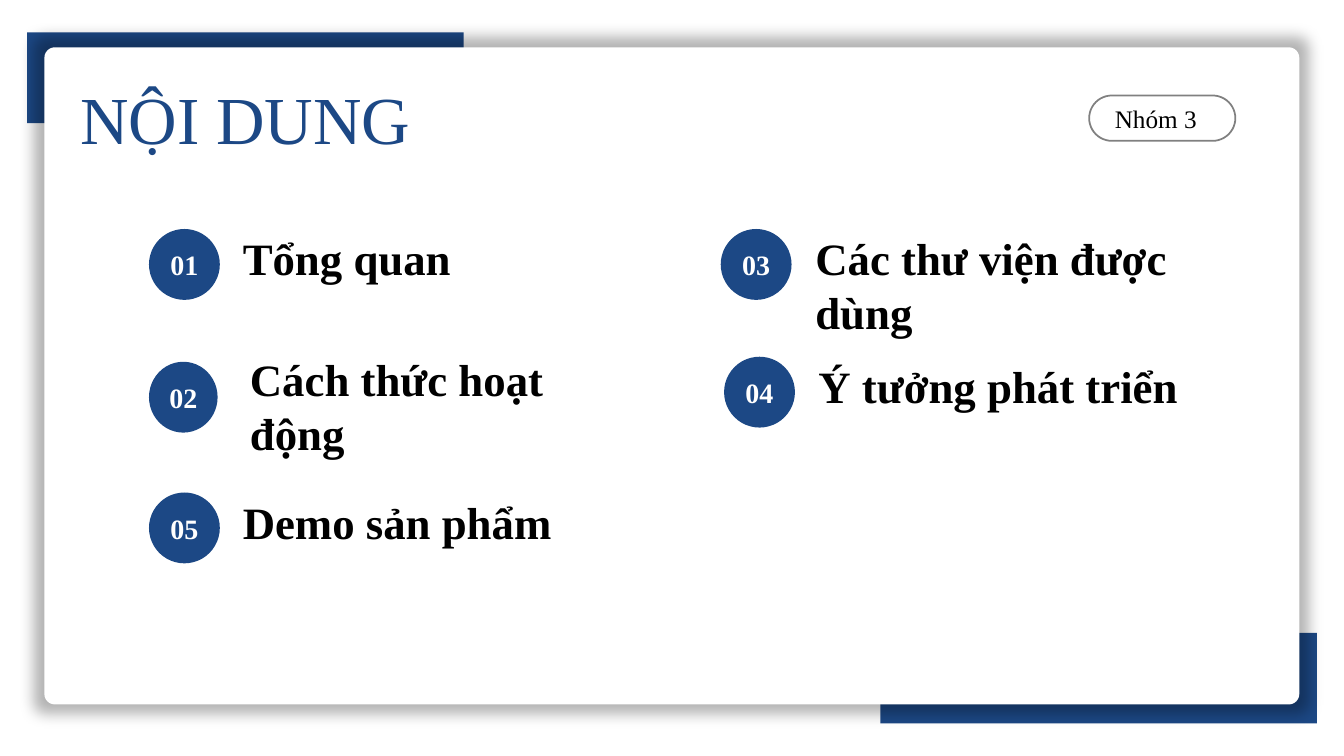
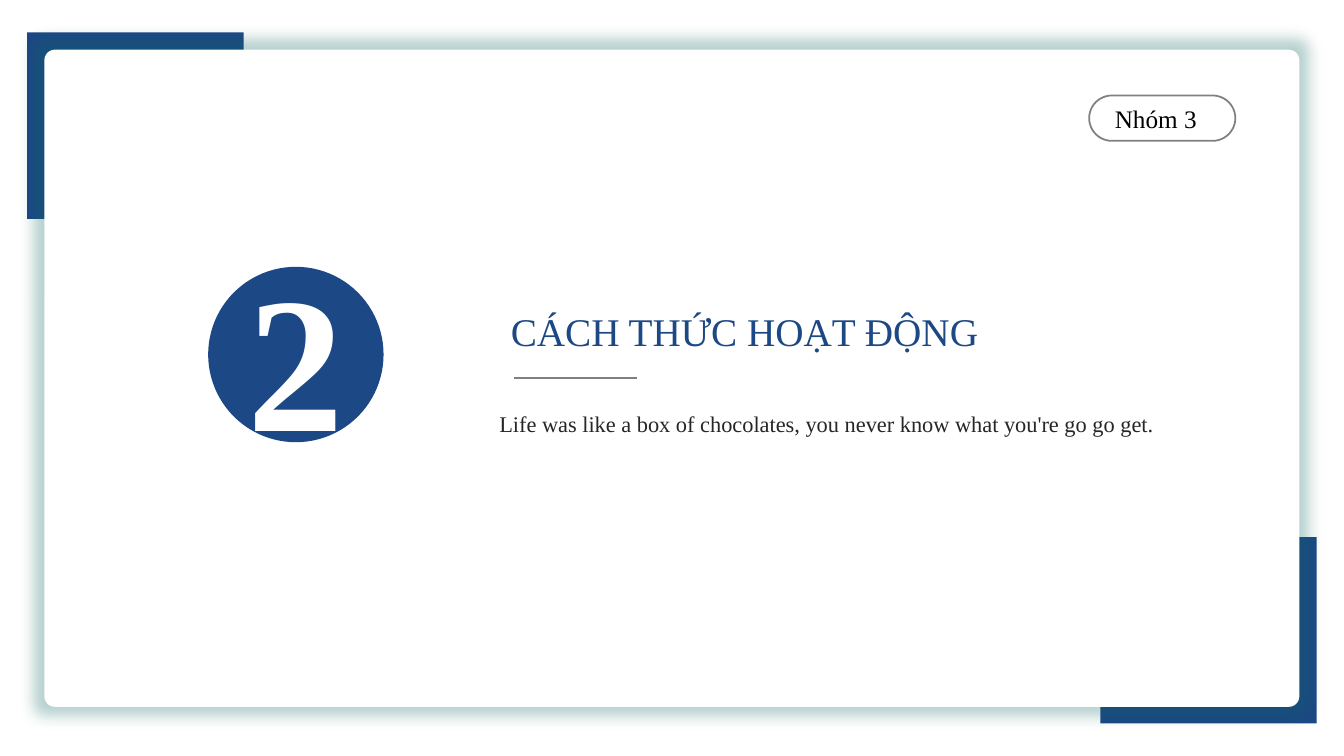
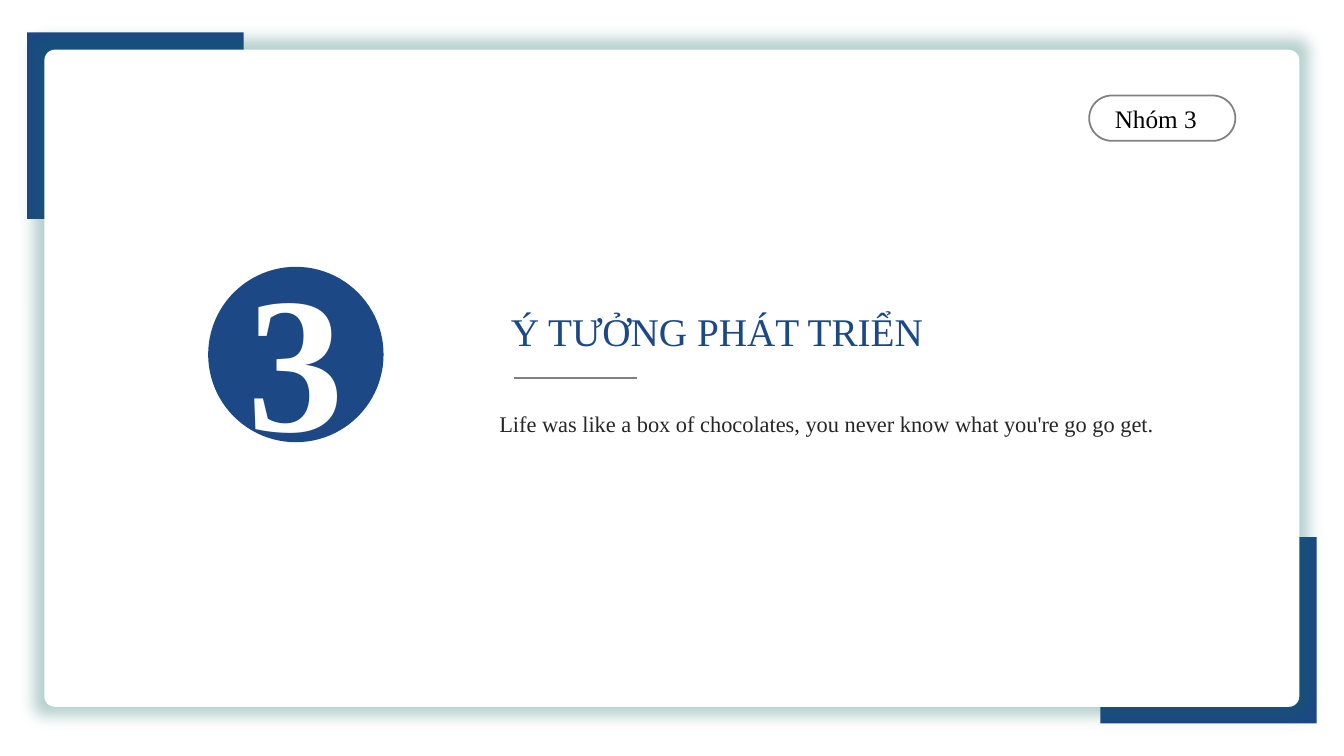
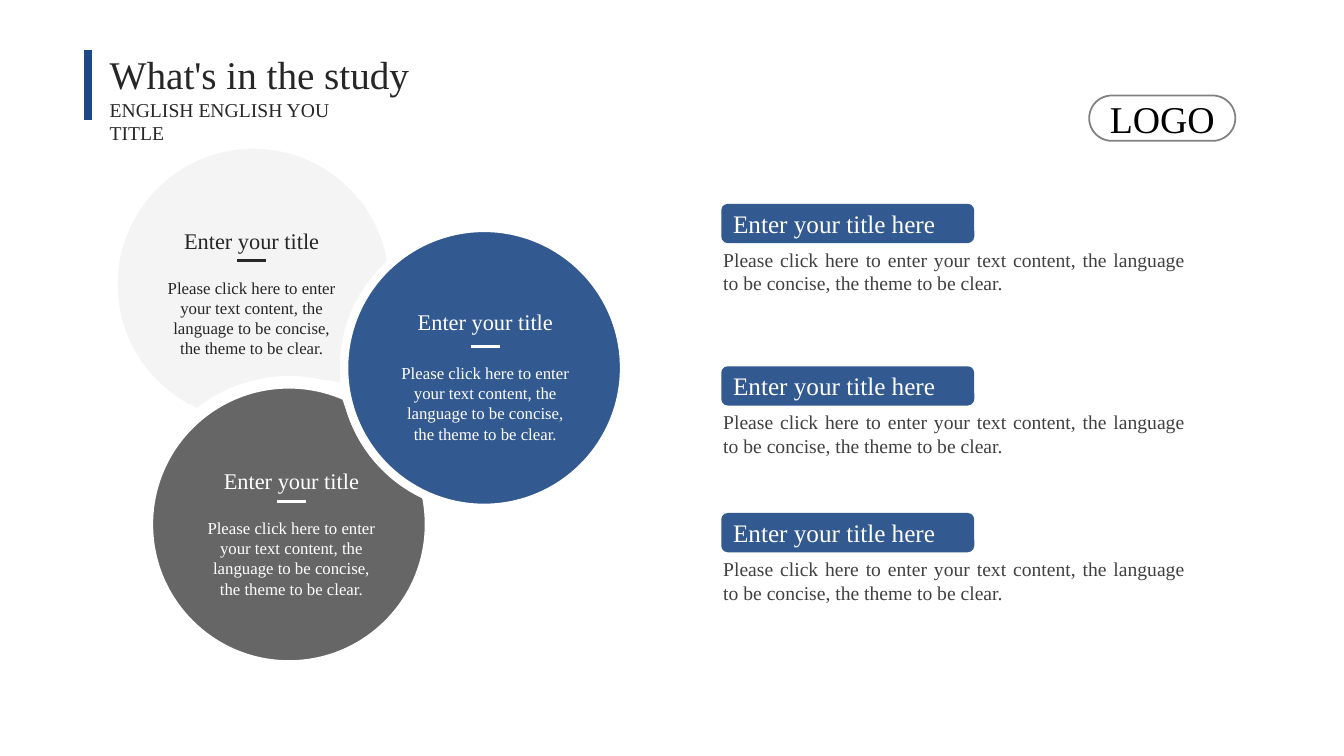
from dataclasses import dataclass
from math import cos, radians, sin, tan

from lxml.etree import SubElement
from pptx import Presentation
from pptx.dml.color import RGBColor
from pptx.enum.shapes import MSO_CONNECTOR, MSO_SHAPE
from pptx.enum.text import MSO_ANCHOR, MSO_AUTO_SIZE, PP_ALIGN
from pptx.oxml.ns import qn
from pptx.util import Pt

FONT = "Times New Roman"
BLUE, WHITE, BLACK = "1C4885", "FFFFFF", "000000"
INK, DARK, PALE, GREY = "262626", "404040", "F2F2F2", "808080"
LEFT, MID, JUST = PP_ALIGN.LEFT, PP_ALIGN.CENTER, PP_ALIGN.JUSTIFY
RECT, ROUND, OVAL = MSO_SHAPE.RECTANGLE, MSO_SHAPE.ROUNDED_RECTANGLE, MSO_SHAPE.OVAL
WIDTH, HEIGHT = 960, 540
RADIUS = 100
BODY = "Please click here to enter your text content, the language to be concise, the theme to be clear."
QUOTE = "Life was like a box of chocolates, you never know what you're go go get."


@dataclass(frozen=True)
class Box:
    x: float
    y: float
    w: float
    h: float


@dataclass(frozen=True)
class Style:
    size: float
    color: str = INK
    align: PP_ALIGN = LEFT
    bold: bool = False


@dataclass(frozen=True)
class Item:
    num: str
    text: str
    badge: Box
    label: Box


@dataclass(frozen=True)
class Disc:
    x: float
    y: float
    fill: str
    ink: str
    mid: float
    title: float
    rule: float
    body: float


@dataclass(frozen=True)
class Arc:
    disc: Disc
    turns: tuple[int, ...]
    radius: float = RADIUS

    def point(self, turn: float, reach: float = 0) -> tuple[int, int]:
        c, s = cos(radians(turn)), sin(radians(turn))
        x = self.disc.x + self.radius * (c - reach * s)
        y = self.disc.y + self.radius * (s + reach * c)
        return Pt(x), Pt(y)


ITEMS = [
    Item("03", "Các thư viện được dùng", Box(514.8, 163.6, 50.6, 50.6), Box(575.3, 161.3, 291.6, 85)),
    Item("02", "Cách thức hoạt động", Box(106.4, 258.4, 49, 50.6), Box(171.4, 247.7, 282.2, 85)),
    Item("04", "Ý tưởng phát triển", Box(517.2, 254.8, 50.6, 50.6), Box(577.5, 252.7, 291.6, 46)),
    Item("05", "Demo sản phẩm", Box(106.4, 351.8, 50.6, 50.6), Box(166.3, 349.9, 291.6, 46)),
    Item("01", "Tổng quan", Box(106.4, 163.6, 50.6, 50.6), Box(166.3, 161.3, 291.6, 46)),
]

LIGHT = Disc(181, 203.2, PALE, INK, 179.8, 158.4, 186.2, 194.8)
SLATE = Disc(206.4, 374.6, DARK, WHITE, 208.2, 329.8, 358, 366.3)
FRONT = Disc(345.8, 262.8, BLUE, WHITE, 346.7, 216.7, 247.3, 255.6)


def tint(code: str) -> RGBColor:
    return RGBColor.from_string(code)


def write(shape, text: str, style: Style) -> None:
    para = shape.text_frame.paragraphs[0]
    para.text = text
    para.alignment = style.align
    font = para.runs[0].font
    font.name, font.size, font.bold = FONT, Pt(style.size), style.bold
    font.color.rgb = tint(style.color)


def label(slide, text: str, box: Box, style: Style) -> None:
    shape = slide.shapes.add_textbox(Pt(box.x), Pt(box.y), Pt(box.w), Pt(box.h))
    shape.text_frame.word_wrap = True
    shape.text_frame.auto_size = MSO_AUTO_SIZE.SHAPE_TO_FIT_TEXT
    write(shape, text, style)


def paint(shape, fill: str = "", line: str = "", width: float = 0, alpha: int = 100) -> None:
    shape.shadow.inherit = False
    if fill:
        shape.fill.solid()
        shape.fill.fore_color.rgb = tint(fill)
        if alpha < 100:
            color = shape.element.spPr.find(qn("a:solidFill"))[0]
            SubElement(color, qn("a:alpha"), val=str(alpha * 1000))
    else:
        shape.fill.background()
    if line:
        shape.line.color.rgb = tint(line)
        shape.line.width = Pt(width)
    else:
        shape.line.fill.background()


def form(slide, kind: MSO_SHAPE, box: Box, fill: str = "", line: str = "", width: float = 0, alpha: int = 100):
    shape = slide.shapes.add_shape(kind, Pt(box.x), Pt(box.y), Pt(box.w), Pt(box.h))
    paint(shape, fill, line, width, alpha)
    shape.text_frame.vertical_anchor = MSO_ANCHOR.MIDDLE
    return shape


def badge(slide, text: str, box: Box, size: float) -> None:
    shape = form(slide, OVAL, box, BLUE)
    shape.text_frame.word_wrap = False
    write(shape, text, Style(size, WHITE, MID, True))


def rule(slide, x: float, y: float, end: float, base: float, color: str, width: float) -> None:
    line = slide.shapes.add_connector(MSO_CONNECTOR.STRAIGHT, Pt(x), Pt(y), Pt(end), Pt(base))
    line.line.color.rgb = tint(color)
    line.line.width = Pt(width)
    SubElement(line.element.spPr, qn("a:effectLst"))


def pill(slide, text: str, size: float, inset: float) -> None:
    shape = form(slide, ROUND, Box(778, 68.2, 104.4, 32.4), line=GREY, width=1.25)
    shape.adjustments[0] = 0.5
    shape.text_frame.margin_right = Pt(inset)
    shape.text_frame.word_wrap = False
    write(shape, text, Style(size, BLACK, MID))


def group(slide) -> None:
    pill(slide, "Nhóm 3", 18, 16.4)


def frame(slide, w: float, h: float, top: float, shade: str) -> None:
    x, y = 19.4, 23.2
    form(slide, RECT, Box(x, y, w, h), BLUE)
    form(slide, RECT, Box(WIDTH - x - w, HEIGHT - y - h, w, h), BLUE)
    card = form(slide, ROUND, Box(31.7, top, 896.4, 469.4), WHITE)
    card.adjustments[0] = 0.016
    glow = SubElement(
        card.element.spPr.find(qn("a:effectLst")), qn("a:outerShdw"),
        blurRad=str(Pt(10)), dist="0", dir="0", sx="101600", sy="103000", algn="ctr", rotWithShape="0",
    )
    color = SubElement(glow, qn("a:srgbClr"), val=shade)
    SubElement(color, qn("a:alpha"), val="30000")


def cut(slide, disc: Disc, arcs: list[Arc]) -> None:
    ends, bends = [], []
    for arc in arcs:
        ends.append(arc.point(arc.turns[0]))
        bends.append(())
        for start, end in zip(arc.turns, arc.turns[1:]):
            reach = 4 / 3 * tan(radians(end - start) / 4)
            ends.append(arc.point(end))
            bends.append((arc.point(start, reach), arc.point(end, -reach), ends[-1]))
    pen = slide.shapes.build_freeform(*ends[0], scale=1.0)
    pen.add_line_segments(ends[1:], close=True)
    shape = pen.convert_to_shape()
    paint(shape, disc.fill, WHITE, 6, 80)
    for line, bend in zip(list(shape.element.iter(qn("a:lnTo"))), bends[1:]):
        if bend:
            line.remove(line[0])
            line.tag = qn("a:cubicBezTo")
            for x, y in bend:
                SubElement(line, qn("a:pt"), x=str(x - shape.left), y=str(y - shape.top))


def agenda(slide) -> None:
    frame(slide, 311.8, 64.8, 33.8, BLACK)
    label(slide, "NỘI DUNG", Box(44.2, 51.8, 262.1, 65.5), Style(48, BLUE, MID))
    for item in ITEMS:
        badge(slide, item.num, item.badge, 20)
        label(slide, item.text, item.label, Style(32, BLACK, bold=True))
    group(slide)


def section(slide, num: str, title: str) -> None:
    frame(slide, 154.6, 133.2, 35.5, "0A645D")
    badge(slide, num, Box(148.7, 190.6, 125.3, 125.3), 138)
    label(slide, title, Box(357.8, 216, 453.6, 41), Style(28, BLUE))
    rule(slide, 367.2, 270, 455, 270, GREY, 2)
    label(slide, QUOTE, Box(342.3, 289.4, 496.1, 26.6), Style(16, INK, MID))
    group(slide)


def study(slide) -> None:
    label(slide, "What's in the study", Box(71.3, 32.4, 345.6, 41), Style(28))
    label(slide, "ENGLISH ENGLISH YOU TITLE", Box(71.3, 66.2, 177.1, 24.5), Style(14))
    rule(slide, 62.9, 36, 62.9, 85.7, BLUE, 6)

    cut(slide, LIGHT, [Arc(LIGHT, (113, 180, 270, 350)), Arc(FRONT, (227, 172)), Arc(SLATE, (282, 232), 103)])
    cut(slide, SLATE, [Arc(SLATE, (-11, 0, 90, 180, 270, 294)), Arc(FRONT, (163, 115))])
    side = 2 * RADIUS
    form(slide, OVAL, Box(FRONT.x - RADIUS, FRONT.y - RADIUS, side, side), BLUE, WHITE, 6, 90)
    for disc in (LIGHT, SLATE, FRONT):
        label(slide, "Enter your title", Box(disc.mid - 87.5, disc.title, 175, 26.6), Style(16, disc.ink, MID))
        label(slide, BODY, Box(disc.mid - 70.2, disc.body, 140.4, 51.1), Style(12, disc.ink, MID))
        rule(slide, disc.mid - 10.4, disc.rule, disc.mid + 10.4, disc.rule, disc.ink, 2)

    for top in (145.6, 261.6, 366.4):
        label(slide, BODY, Box(509.5, top + 27.9, 344.2, 41), Style(14, DARK, JUST))
        tag = form(slide, ROUND, Box(515.2, top, 180.7, 28.1), BLUE, alpha=90)
        write(tag, "Enter your title here", Style(18, WHITE, JUST))
    pill(slide, "LOGO", 27, 7.2)


def main() -> None:
    deck = Presentation()
    deck.slide_width, deck.slide_height = Pt(WIDTH), Pt(HEIGHT)
    blank = deck.slide_layouts[6]
    agenda(deck.slides.add_slide(blank))
    section(deck.slides.add_slide(blank), "2", "CÁCH THỨC HOẠT ĐỘNG")
    section(deck.slides.add_slide(blank), "3", "Ý TƯỞNG PHÁT TRIỂN")
    study(deck.slides.add_slide(blank))
    deck.save("out.pptx")


if __name__ == "__main__":
    main()
